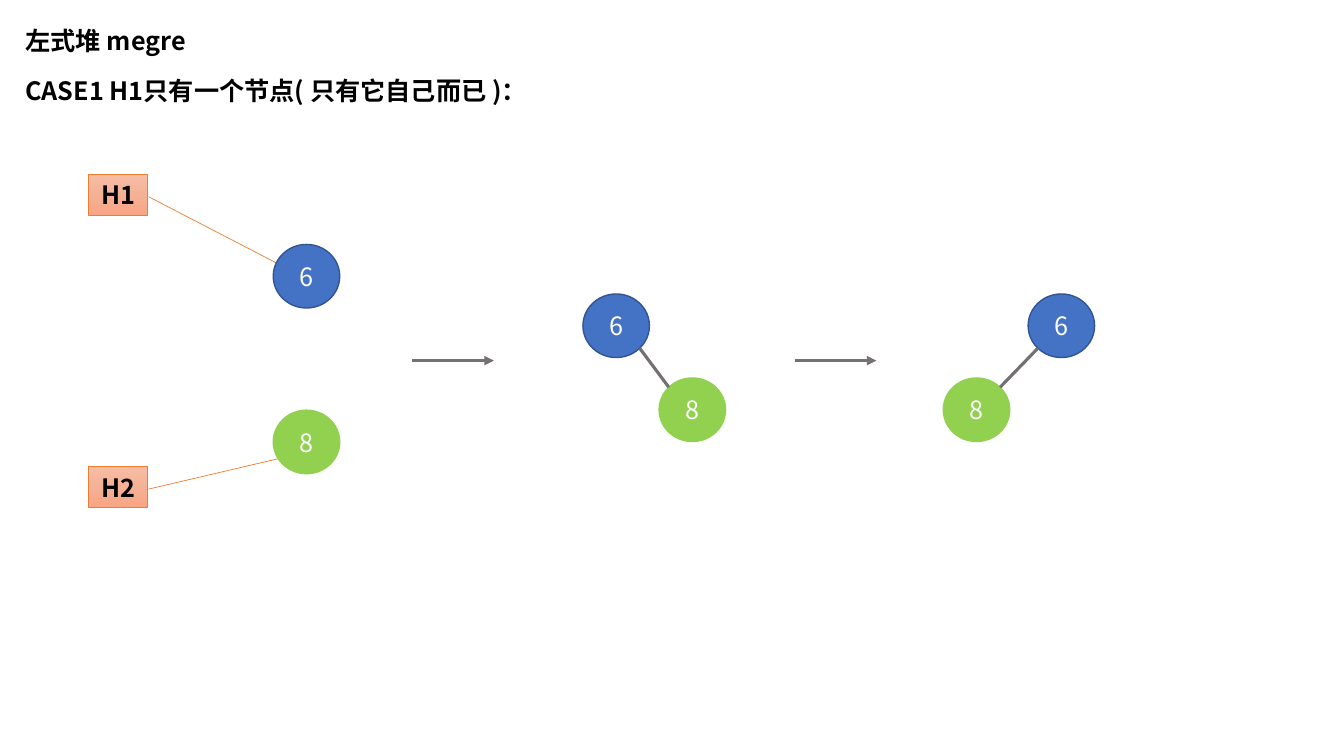
from copy import deepcopy
from pptx import Presentation
from pptx.dml.color import RGBColor
from pptx.enum.shapes import MSO_CONNECTOR, MSO_SHAPE
from pptx.enum.text import MSO_ANCHOR, PP_ALIGN
from pptx.oxml.ns import qn
from pptx.util import Pt
from lxml.etree import SubElement

FONT = "Noto Sans CJK SC"
BLACK = RGBColor(0x00, 0x00, 0x00)
WHITE = RGBColor(0xFF, 0xFF, 0xFF)
BLUE = RGBColor(0x44, 0x72, 0xC4)
NAVY = RGBColor(0x32, 0x54, 0x91)
GREEN = RGBColor(0x92, 0xD0, 0x50)
GREY = RGBColor(0x76, 0x71, 0x71)
ORANGE = RGBColor(0xED, 0x7D, 0x31)
PEACH = (RGBColor(0xF7, 0xBD, 0xA5), RGBColor(0xF5, 0xB1, 0x96),
         RGBColor(0xF8, 0xA5, 0x82))

NODE_W, NODE_H = 47.5, 45.4
TAG_W, TAG_H = 42, 29
STEP_Y = 60  # drop from parent to child
RIM = 0.146  # inset of an ellipse's diagonal points


def write(shape, text, bold=False, color=BLACK, align=PP_ALIGN.LEFT,
          anchor=MSO_ANCHOR.TOP, wrap=True):
    frame = shape.text_frame
    frame.word_wrap = wrap
    frame.vertical_anchor = anchor
    para = frame.paragraphs[0]
    para.alignment = align
    para.line_spacing = 1.0
    para.space_before = Pt(0)
    run = para.add_run()
    run.text = text
    font = run.font
    font.size, font.bold, font.name = Pt(18), bold, FONT
    font.color.rgb = color
    SubElement(run._r.get_or_add_rPr(), qn("a:ea")).set("typeface", FONT)


def heading(slide, left, top):
    title = slide.shapes.title
    title.left, title.top, title.width, title.height = (
        Pt(left), Pt(top), Pt(147), Pt(29))
    write(title, "左式堆 megre", bold=True)
    case = slide.shapes.add_textbox(Pt(left), Pt(top + 36), Pt(374.4), Pt(29))
    write(case, "CASE1 H1只有一个节点( 只有它自己而已 )：", bold=True)


def tag(slide, left, top, text, tip):
    """Callout whose leader ends at tip, given as shares of its size (y, x)."""
    box = slide.shapes.add_shape(MSO_SHAPE.LINE_CALLOUT_1, Pt(left), Pt(top),
                                 Pt(TAG_W), Pt(TAG_H))
    for i, share in enumerate((0.55, 1.02, *tip)):
        box.adjustments[i] = share
    box.shadow.inherit = False
    box.fill.gradient()
    box.fill.gradient_angle = 270
    stops = box._element.spPr.find(qn("a:gradFill")).find(qn("a:gsLst"))
    stops.insert(1, deepcopy(stops[0]))
    for i, stop in enumerate(box.fill.gradient_stops):
        stop.position = i / 2
        stop.color.rgb = PEACH[i]
    box.line.color.rgb = ORANGE
    box.line.width = Pt(0.5)
    write(box, text, bold=True, align=PP_ALIGN.CENTER, anchor=MSO_ANCHOR.MIDDLE)


def node(slide, left, top, key, fill, edge):
    disc = slide.shapes.add_shape(MSO_SHAPE.OVAL, Pt(left), Pt(top),
                                  Pt(NODE_W), Pt(NODE_H))
    disc.shadow.inherit = False
    disc.fill.solid()
    disc.fill.fore_color.rgb = fill
    disc.line.color.rgb = edge
    disc.line.width = Pt(1)
    write(disc, key, color=WHITE, align=PP_ALIGN.CENTER,
          anchor=MSO_ANCHOR.MIDDLE)


def six(slide, left, top):
    node(slide, left, top, "6", BLUE, NAVY)


def eight(slide, left, top):
    node(slide, left, top, "8", GREEN, GREEN)


def link(slide, x1, y1, x2, y2, arrow=False):
    wire = slide.shapes.add_connector(MSO_CONNECTOR.STRAIGHT, Pt(x1), Pt(y1),
                                      Pt(x2), Pt(y2))
    wire.line.color.rgb = GREY
    wire.line.width = Pt(2.25)
    if arrow:
        SubElement(wire.line._get_or_add_ln(), qn("a:tailEnd")).set(
            "type", "triangle")
    SubElement(wire._element.spPr, qn("a:effectLst"))


def heaps(slide, left, top):
    """The two separate heaps with their tags."""
    tag(slide, left, top + 208.8, "H2", (-0.28, 3.46))
    tag(slide, left, top, "H1", (2.27, 3.31))
    six(slide, left + 131.8, top + 50)
    eight(slide, left + 131.8, top + 168.4)


def tree(slide, left, top, shift):
    """Parent 6 at left, top; child 8 moved sideways by shift."""
    six(slide, left, top)
    eight(slide, left + shift, top + STEP_Y)
    near, far = (1 - RIM, RIM) if shift > 0 else (RIM, 1 - RIM)
    link(slide, left + near * NODE_W, top + (1 - RIM) * NODE_H,
         left + shift + far * NODE_W, top + STEP_Y + RIM * NODE_H)


def main():
    deck = Presentation()
    deck.slide_width, deck.slide_height = Pt(960), Pt(540)
    slide = deck.slides.add_slide(deck.slide_layouts[5])
    heading(slide, 11, 14.4)
    heaps(slide, 63.4, 124.6)
    # Merge, then swap the children
    for left in (294.4, 567.6):
        link(slide, left, 257.6, left + 58.4, 257.6, arrow=True)
    tree(slide, 416.4, 210, 54.4)
    tree(slide, 734.4, 210, -60.6)
    deck.save("out.pptx")


if __name__ == "__main__":
    main()
